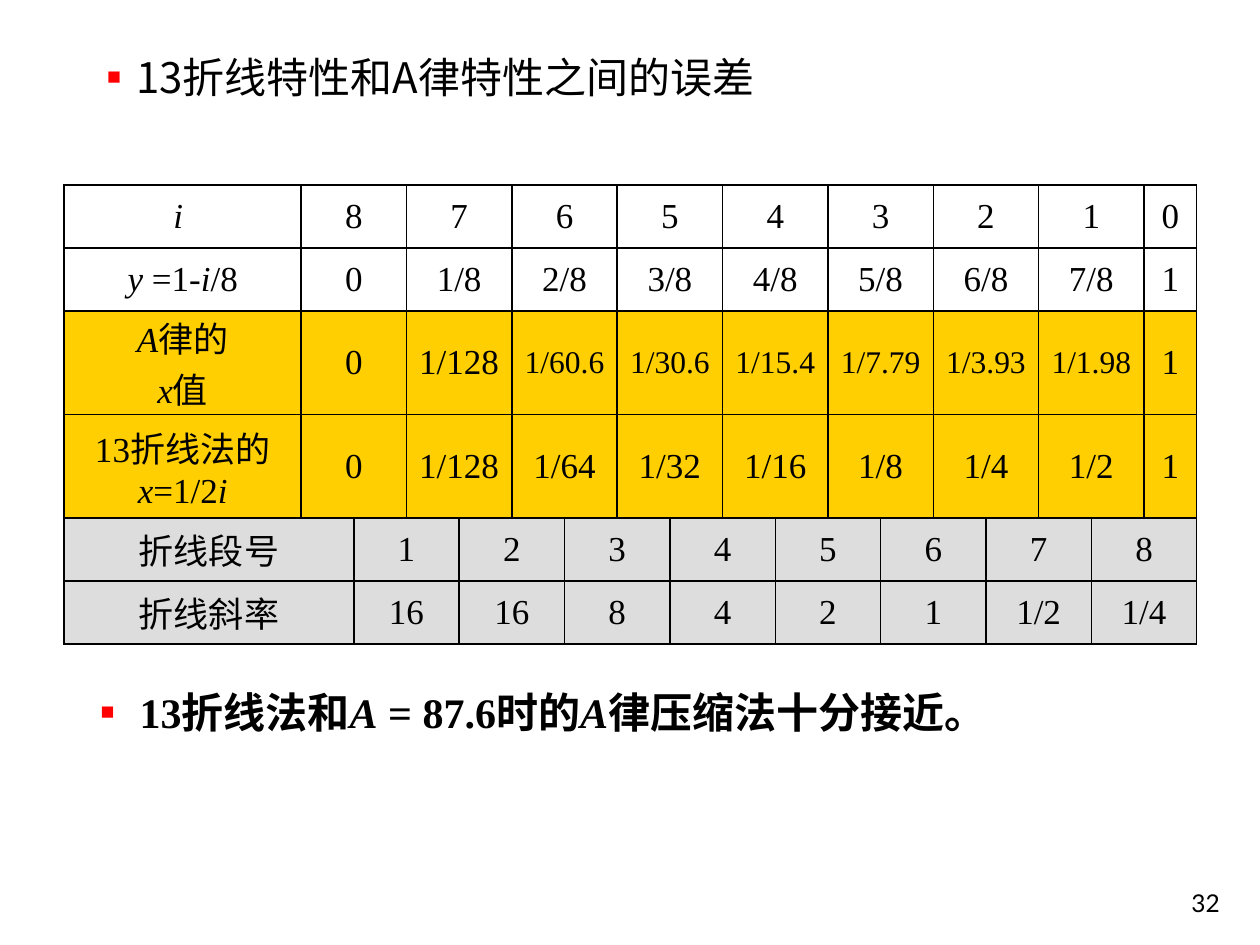
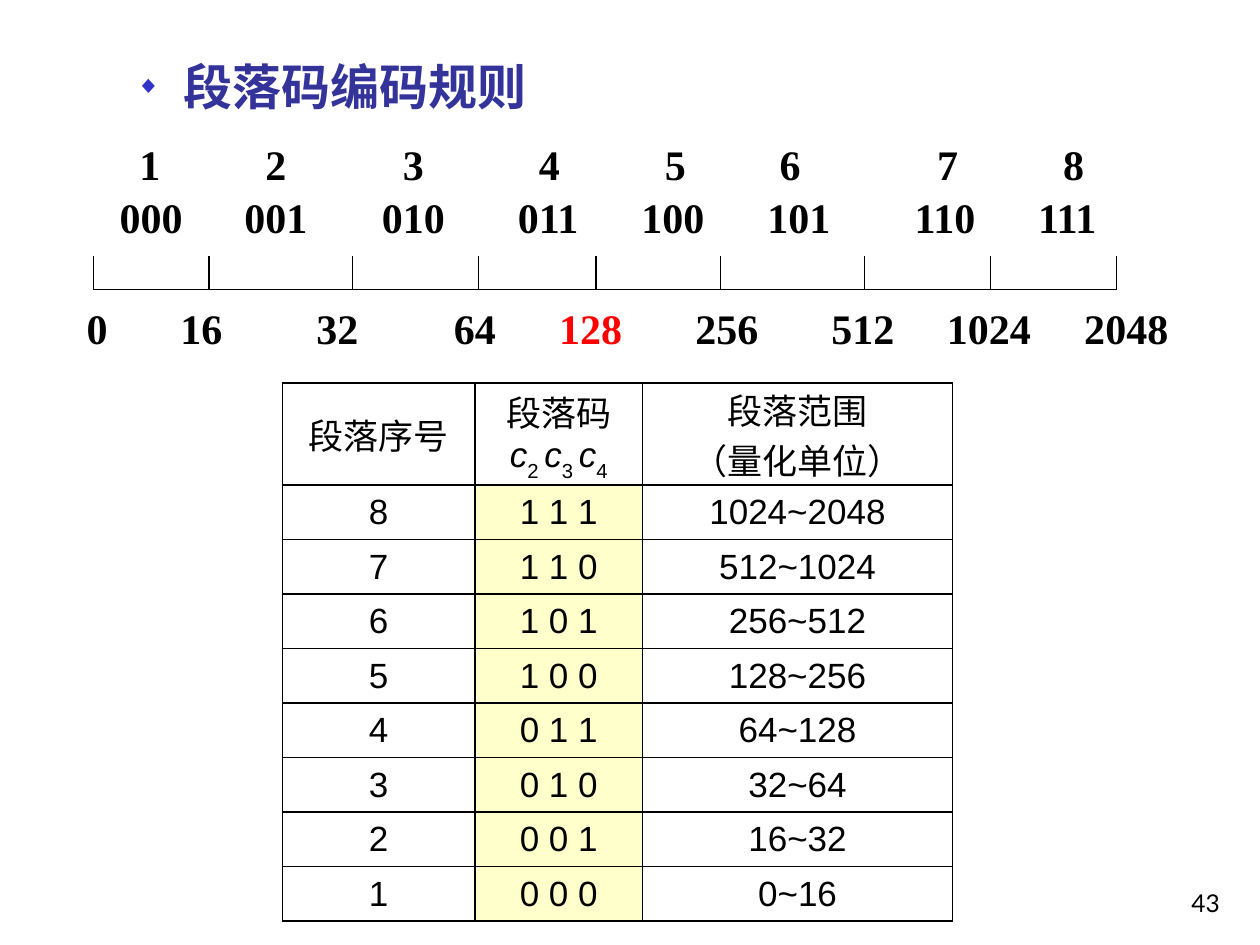
"""Build two slides on the 13-segment approximation of the A-law and its segment codes."""
from collections.abc import Iterator
from typing import NamedTuple, Optional

from lxml.etree import SubElement
from pptx import Presentation
from pptx.dml.color import RGBColor
from pptx.enum.shapes import MSO_CONNECTOR as Connector
from pptx.enum.text import MSO_ANCHOR as Anchor, MSO_AUTO_SIZE as AutoSize, PP_ALIGN as Align
from pptx.oxml.ns import qn
from pptx.util import Emu, Pt

SLIDE_WIDTH, SLIDE_HEIGHT = 9144000, 6858000
COLUMNS = 100
UNIT = SLIDE_WIDTH / COLUMNS
BLACK, RED, NAVY, BLUE = "000000", "FF0000", "333399", "3333CC"
GOLD, GREY, CREAM = "FFCF01", "DDDDDD", "FFFFCC"
SERIF, SANS, CHINESE, NUMBER = "Times New Roman", "Arial", "Noto Sans CJK SC", "Lato"
ITALIC, SUBSCRIPT, ACCENT = "_", "^", "*"
TICKS = (7.4, 16.6, 28, 38, 47.3, 57.2, 68.6, 78.6, 88.6)


class Box(NamedTuple):
    left: float
    top: float
    width: float
    height: float


class Bullet(NamedTuple):
    symbol: str
    color: str
    percent: int
    margin: float
    hanging: float


class Cell(NamedTuple):
    row: int
    column: int
    span: int
    text: str
    size: int = 20
    fill: Optional[str] = None


class TabRow(NamedTuple):
    text: str
    centres: tuple[float, ...]


def grid(units: float) -> Emu:
    return Emu(round(units * UNIT))


def place(box: Box) -> tuple[Emu, ...]:
    return tuple(grid(units) for units in box)


def rgb(color: str) -> RGBColor:
    return RGBColor.from_string(color)


def split_runs(line: str) -> Iterator[tuple[str, frozenset]]:
    active, chunk = frozenset(), ""
    for letter in line:
        if letter in (ITALIC, SUBSCRIPT, ACCENT):
            if chunk:
                yield chunk, active
            active, chunk = active ^ {letter}, ""
        else:
            chunk += letter
    if chunk:
        yield chunk, active


def add_bullet(paragraph, bullet: Bullet) -> None:
    properties = paragraph._p.get_or_add_pPr()
    properties.set("marL", str(grid(bullet.margin)))
    properties.set("indent", str(-grid(bullet.hanging)))
    color = SubElement(properties, qn("a:buClr"))
    SubElement(color, qn("a:srgbClr"), val=bullet.color)
    SubElement(properties, qn("a:buSzPct"), val=str(bullet.percent * 1000))
    SubElement(properties, qn("a:buFont"), typeface=SANS)
    SubElement(properties, qn("a:buChar"), char=bullet.symbol)


def add_tabs(paragraph, positions: list[float]) -> None:
    tabs = SubElement(paragraph._p.get_or_add_pPr(), qn("a:tabLst"))
    for position in positions:
        SubElement(tabs, qn("a:tab"), pos=str(grid(position)), algn="ctr")


def write(paragraph, text: str, *, size: int = 24, font: str = SERIF, color: str = BLACK,
          bold: bool = False, align=Align.LEFT, bullet: Optional[Bullet] = None,
          tabs: Optional[list[float]] = None) -> None:
    if bullet:
        add_bullet(paragraph, bullet)
    if tabs:
        add_tabs(paragraph, tabs)
    paragraph.alignment = align
    for chunk, marks in split_runs(text):
        run = paragraph.add_run()
        run.text = chunk
        run.font.size, run.font.name, run.font.bold = Pt(size), font, bold
        run.font.italic = ITALIC in marks
        run.font.color.rgb = rgb(RED if ACCENT in marks else color)
        properties = run._r.get_or_add_rPr()
        if SUBSCRIPT in marks:
            properties.set("baseline", "-30000")
        SubElement(properties, qn("a:ea"), typeface=CHINESE)


def add_text(slide, box: Box, text: str, anchor=Anchor.TOP, **style):
    frame = slide.shapes.add_textbox(*place(box)).text_frame
    frame.word_wrap = True
    frame.vertical_anchor = anchor
    write(frame.paragraphs[0], text, **style)
    return frame


def add_tab_rows(slide, box: Box, rows: list[TabRow], inset: float) -> None:
    frame = slide.shapes.add_textbox(*place(box)).text_frame
    frame.word_wrap = True
    frame.margin_left = frame.margin_right = grid(inset)
    frame.margin_top = frame.margin_bottom = grid(inset / 2)
    for index, row in enumerate(rows):
        paragraph = frame.add_paragraph() if index else frame.paragraphs[0]
        tabs = [centre - box.left - inset for centre in row.centres]
        write(paragraph, row.text, bold=True, tabs=tabs)
        if index:
            paragraph.space_before = Pt(1.5)


def add_slide(presentation, title: str, box: Box, number: int, **style):
    slide = presentation.slides.add_slide(presentation.slide_layouts[5])
    heading = slide.shapes.title
    heading.left, heading.top, heading.width, heading.height = place(box)
    frame = heading.text_frame
    frame.word_wrap, frame.auto_size, frame.vertical_anchor = True, AutoSize.NONE, Anchor.TOP
    write(frame.paragraphs[0], title, **style)
    add_text(slide, Box(77, 68.3, 20.8, 5), str(number), Anchor.BOTTOM,
             size=14, font=NUMBER, align=Align.RIGHT)
    return slide


def add_border(cell) -> None:
    properties = cell._tc.get_or_add_tcPr()
    for index, side in enumerate(("lnL", "lnR", "lnT", "lnB")):
        line = SubElement(properties, qn(f"a:{side}"), w=str(Pt(1)))
        SubElement(SubElement(line, qn("a:solidFill")), qn("a:srgbClr"), val=BLACK)
        properties.insert(index, line)


def add_grid_table(slide, left: float, top: float, widths: list[float], heights: list[float],
                   cells: list[Cell], font: str) -> None:
    box = Box(left, top, sum(widths), sum(heights))
    table = slide.shapes.add_table(len(heights), len(widths), *place(box)).table
    table.first_row = table.horz_banding = False
    for column, width in zip(table.columns, widths):
        column.width = grid(width)
    for row, height in zip(table.rows, heights):
        row.height = grid(height)
    for item in cells:
        cell = table.cell(item.row, item.column)
        if item.span > 1:
            cell.merge(table.cell(item.row, item.column + item.span - 1))
        cell.vertical_anchor = Anchor.MIDDLE
        cell.margin_left = cell.margin_right = cell.margin_top = cell.margin_bottom = 0
        for index, line in enumerate(item.text.split("\n")):
            paragraph = cell.text_frame.add_paragraph() if index else cell.text_frame.paragraphs[0]
            write(paragraph, line, size=item.size, font=font, align=Align.CENTER)
        for offset in range(item.span):
            part = table.cell(item.row, item.column + offset)
            if item.fill:
                part.fill.solid()
                part.fill.fore_color.rgb = rgb(item.fill)
            else:
                part.fill.background()
            add_border(part)


def add_line(slide, x1: float, y1: float, x2: float, y2: float) -> None:
    line = slide.shapes.add_connector(Connector.STRAIGHT, *place(Box(x1, y1, x2, y2)))
    line.line.color.rgb = rgb(BLACK)
    line.line.width = Pt(0.75)
    SubElement(line._element.spPr, qn("a:effectLst"))


def comparison_cells() -> list[Cell]:
    rows = (
        ("_i _", "8 7 6 5 4 3 2 1 0", None),
        ("_y_ =1-_i_/8", "0 1/8 2/8 3/8 4/8 5/8 6/8 7/8 1", None),
        ("_A_律的\n_x_值", "0 1/128 1/60.6 1/30.6 1/15.4 1/7.79 1/3.93 1/1.98 1", GOLD),
        ("13折线法的\n_x_=1/2_i_", "0 1/128 1/64 1/32 1/16 1/8 1/4 1/2 1", GOLD),
        ("折线段号", "1 2 3 4 5 6 7 8", GREY),
        ("折线斜率", "16 16 8 4 2 1 1/2 1/4", GREY),
    )
    cells = []
    for row, (label, values, fill) in enumerate(rows):
        first = 2 if fill == GREY else 1
        cells.append(Cell(row, 0, first, label, fill=fill))
        for index, value in enumerate(values.split()):
            column = first + 2 * index
            size = 18 if "." in value else 20
            cells.append(Cell(row, column, min(2, 18 - column), value, size, fill))
    return cells


def segment_cells() -> list[Cell]:
    headers = ("段落序号", "段落码\n_c_^2 ^_c_^3 ^_c_^4^", "段落范围\n（量化单位）")
    cells = [Cell(0, column, 1, text) for column, text in enumerate(headers)]
    for row, segment in enumerate(range(8, 0, -1), start=1):
        code = " ".join(f"{segment - 1:03b}")
        lower = 0 if segment == 1 else 2 ** (segment + 2)
        cells += [Cell(row, 0, 1, str(segment)), Cell(row, 1, 1, code, fill=CREAM),
                  Cell(row, 2, 1, f"{lower}~{2 ** (segment + 3)}")]
    return cells


def build_comparison(presentation) -> None:
    slide = add_slide(presentation, "13折线特性和A律特性之间的误差", Box(7.5, 3.6, 75.8, 5), 32,
                      font=CHINESE, bullet=Bullet("■", RED, 55, 2.3, 2.3))
    add_grid_table(slide, 5.1, 14.7, [18.8] + [71.1 / 17] * 17, [5, 5, 8.2, 8.2, 5, 5],
                   comparison_cells(), SERIF)
    frame = add_text(slide, Box(2, 54.8, 81.9, 6.3),
                     "13折线法和_A_ = 87.6时的_A_律压缩法十分接近。",
                     bold=True, bullet=Bullet("■", RED, 55, 8.1, 3.1))
    frame.paragraphs[0].line_spacing = 0.8


def build_segments(presentation) -> None:
    slide = add_slide(presentation, "段落码编码规则", Box(9.8, 4, 51.2, 7.7), 43,
                      size=28, color=NAVY, bold=True, bullet=Bullet("◆", BLUE, 50, 3.8, 3.8))
    add_grid_table(slide, 22.4, 30.4, [15.3, 13.3, 24.6], [8.1] + [4.33] * 8,
                   segment_cells(), SANS)
    numbers = "".join(f"\t{segment}" for segment in range(1, 9))
    codes = "".join(f"\t{segment:03b}" for segment in range(8))
    add_tab_rows(slide, Box(8.9, 10.7, 84.2, 8.9), [
        TabRow(numbers, (11.9, 21.9, 32.8, 43.6, 53.6, 62.7, 75.2, 85.2)),
        TabRow(codes, (11.9, 21.9, 32.8, 43.5, 53.4, 63.4, 75, 84.7)),
    ], inset=0.6)
    add_line(slide, TICKS[0], 23, TICKS[-1], 23)
    for tick in TICKS:
        add_line(slide, tick, 20.3, tick, 23)
    add_tab_rows(slide, Box(5.9, 23.5, 91.3, 5), [
        TabRow("0\t16\t32\t64\t*128*\t256\t512\t1024\t2048",
               (16, 26.8, 37.7, 46.9, 57.7, 68.5, 78.5, 89.4)),
    ], inset=1)


def main() -> None:
    presentation = Presentation()
    presentation.slide_width, presentation.slide_height = Emu(SLIDE_WIDTH), Emu(SLIDE_HEIGHT)
    build_comparison(presentation)
    build_segments(presentation)
    presentation.save("out.pptx")


if __name__ == "__main__":
    main()
